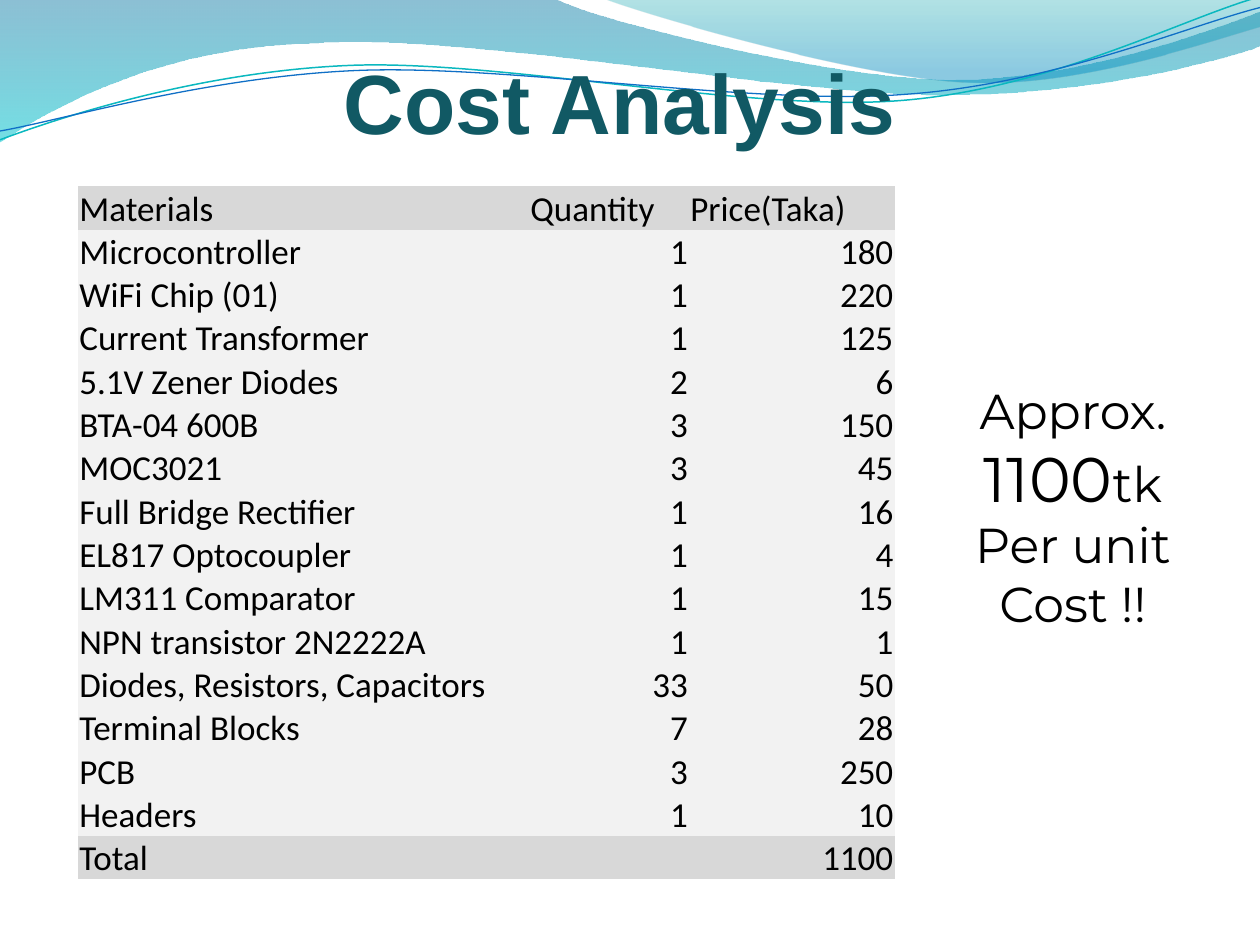
"""Build the Cost Analysis slide: wave header, price table and unit cost note."""
from lxml import etree
from pptx import Presentation
from pptx.dml.color import RGBColor
from pptx.enum.text import MSO_ANCHOR, PP_ALIGN
from pptx.oxml.ns import qn
from pptx.util import Inches, Pt

LEFT, MID, RIGHT = PP_ALIGN.LEFT, PP_ALIGN.CENTER, PP_ALIGN.RIGHT
BOTTOM = MSO_ANCHOR.BOTTOM
PLAIN = "{2D5ABB26-0587-4C30-8999-92F81FD0307C}"


def color(code):
    return RGBColor.from_string(code)


def write(frame, lines, font="Calibri", ink="000000", bold=False, align=LEFT):
    for i, line in enumerate(lines):
        para = frame.add_paragraph() if i else frame.paragraphs[0]
        para.alignment = align
        for text, size in line:
            run = para.add_run()
            run.text = text
            run.font.name = font
            run.font.size = Pt(size)
            run.font.bold = bold
            run.font.color.rgb = color(ink)


deck = Presentation()
deck.slide_width, deck.slide_height = Inches(10), Inches(7.5)
slide = deck.slides.add_slide(deck.slide_layouts[6])
shapes = slide.shapes

waves = [
    ((-0.01, -0.01, 10.01, 1.13),
     [(0, 0), (4.4, -0.01), (4.76, 0.17, 6.64, 0.63, 7.58, 0.63),
      (8.53, 0.63, 9.58, 0.26, 10, 0.09), (10.01, 0.36),
      (9.83, 0.44, 8.7, 0.76, 7.46, 0.75), (6.22, 0.75, 3.82, 0.28, 2.57, 0.34),
      (1.29, 0.36, 0.46, 0.83, -0.01, 1.13), (0, 0)],
     [(0, "0074A1", 45), (1, "00C6CF", 55)], None),
    ((4.79, -0.01, 10, 0.69),
     [(4.79, -0.01), (5.09, 0.11, 6.82, 0.62, 7.69, 0.65),
      (8.56, 0.69, 9.61, 0.32, 10, 0.21), (10, 0), (4.79, -0.01)],
     [(0, "00A1A9", 30), (0.8, "008BBF", 45)], None),
    ((0, -0.02, 9.98, 1.11),
     [(0, 1.11), (0.48, 0.93, 1.58, 0.57, 2.77, 0.52),
      (3.95, 0.47, 5.93, 0.89, 7.13, 0.8), (8.33, 0.71, 9.38, 0.15, 9.98, -0.02)],
     None, ("0AB8BF", 0.85)),
    ((0, 0.06, 10, 1.04),
     [(0, 1.04), (0.47, 0.96, 1.64, 0.61, 2.83, 0.56),
      (4.03, 0.51, 5.97, 0.84, 7.17, 0.75), (8.36, 0.67, 9.41, 0.21, 10, 0.06)],
     None, ("0F6FC6", 0.75)),
]
for (left, top, right, base), parts, stops, pen in waves:
    form = shapes.build_freeform(Inches(left), Inches(top))
    form.add_line_segments([(Inches(right), Inches(base))], close=False)
    wave = form.convert_to_shape()
    wave.shadow.inherit = False
    route = wave._element.find(".//" + qn("a:path"))
    for kid in list(route):
        route.remove(kid)
    for i, part in enumerate(parts):
        tag = "a:cubicBezTo" if len(part) == 6 else "a:lnTo" if i else "a:moveTo"
        step = etree.SubElement(route, qn(tag))
        for x, y in zip(part[::2], part[1::2]):
            etree.SubElement(step, qn("a:pt"), x=str(Inches(x - left)),
                             y=str(Inches(y - top)))
    if stops:
        etree.SubElement(route, qn("a:close"))
        wave.line.fill.background()
        wave.fill.gradient()
        wave.fill.gradient_angle = 270
        for stop, (place, code, alpha) in zip(wave.fill.gradient_stops, stops):
            stop.position = place
            stop.color.rgb = color(code)
        tints = wave._element.spPr.iter(qn("a:srgbClr"))
        for tint, (place, code, alpha) in zip(tints, stops):
            etree.SubElement(tint, qn("a:alpha"), val=str(alpha * 1000))
    else:
        wave.fill.background()
        wave.line.color.rgb = color(pen[0])
        wave.line.width = Pt(pen[1])

title = shapes.add_textbox(Inches(1.64), Inches(0.16), Inches(6.56), Inches(1.04))
head = title.text_frame
head.word_wrap = True
head.vertical_anchor = BOTTOM
head.margin_left = head.margin_right = head.margin_bottom = 0
write(head, [[("Cost Analysis", 48)]], font="Arial", ink="115964", bold=True, align=MID)

costs = [
    ("Materials", "Quantity", "Price(Taka)"),
    ("Microcontroller", "1", "180"),
    ("WiFi Chip (01)", "1", "220"),
    ("Current Transformer", "1", "125"),
    ("5.1V Zener Diodes", "2", "6"),
    ("BTA-04 600B", "3", "150"),
    ("MOC3021", "3", "45"),
    ("Full Bridge Rectifier", "1", "16"),
    ("EL817 Optocoupler", "1", "4"),
    ("LM311 Comparator", "1", "15"),
    ("NPN transistor 2N2222A", "1", "1"),
    ("Diodes, Resistors, Capacitors", "33", "50"),
    ("Terminal Blocks", "7", "28"),
    ("PCB", "3", "250"),
    ("Headers", "1", "10"),
    ("Total", "", "1100"),
]
last = len(costs) - 1
grid = shapes.add_table(len(costs), 3, Inches(0.62), Inches(1.48),
                        Inches(6.48), Inches(5.47))
table = grid.table
table.first_row = table.horz_banding = False
table._tbl.tblPr.find(qn("a:tableStyleId")).text = PLAIN
for col, width in zip(table.columns, (3.58, 1.27, 1.63)):
    col.width = Inches(width)
for r, row in enumerate(costs):
    table.rows[r].height = Inches(0.32)
    for c, text in enumerate(row):
        cell = table.cell(r, c)
        cell.fill.solid()
        cell.fill.fore_color.rgb = color("D8D8D8" if r in (0, last) else "F2F2F2")
        cell.vertical_anchor = BOTTOM
        cell.margin_left = cell.margin_top = cell.margin_right = Inches(0.01)
        cell.margin_bottom = 0
        if text:
            write(cell.text_frame, [[(text, 20)]], align=RIGHT if r and c else LEFT)
grid.height = Inches(5.47)

note = shapes.add_textbox(Inches(7.5), Inches(2.97), Inches(2.03), Inches(2.12))
note.text_frame.word_wrap = True
write(note.text_frame, [[("Approx.", 28)], [("1100", 36), ("tk", 28)],
                        [("Per unit", 28)], [("Cost !!", 28)]],
      font="Montserrat", align=MID)

deck.save("out.pptx")
